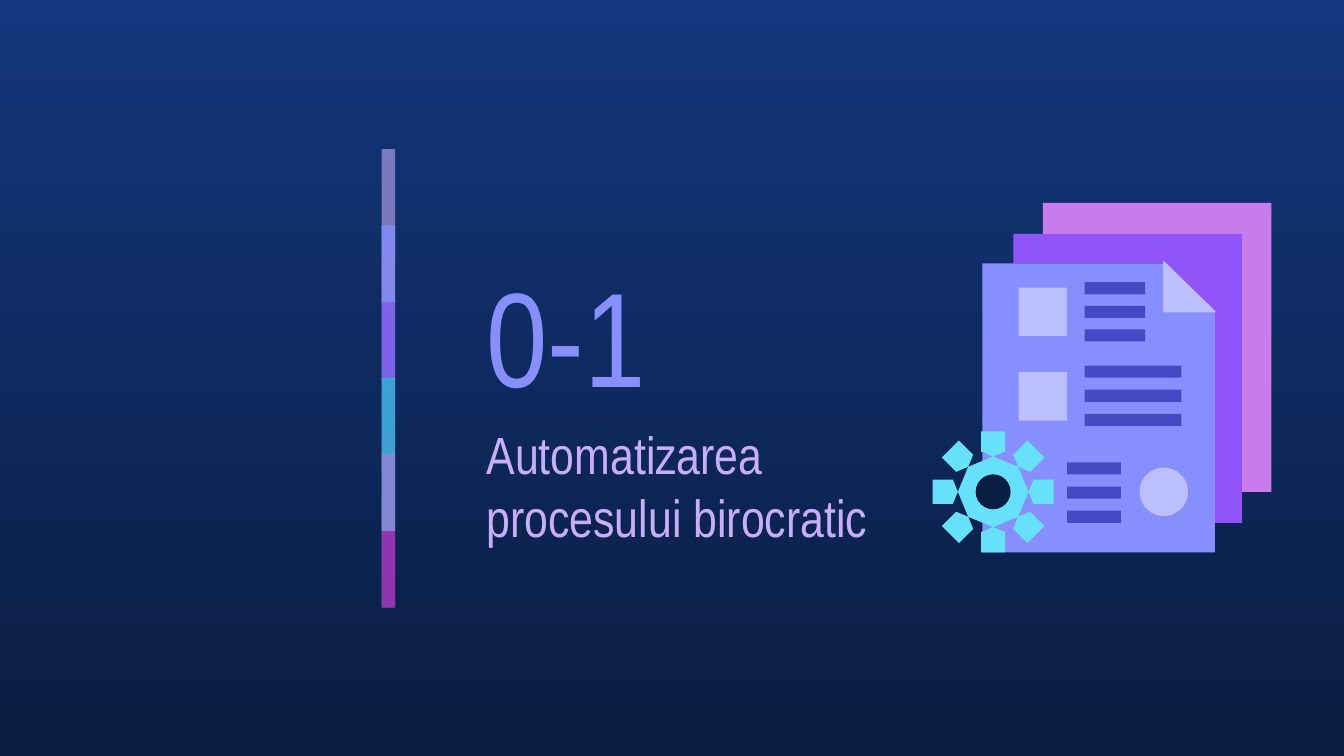
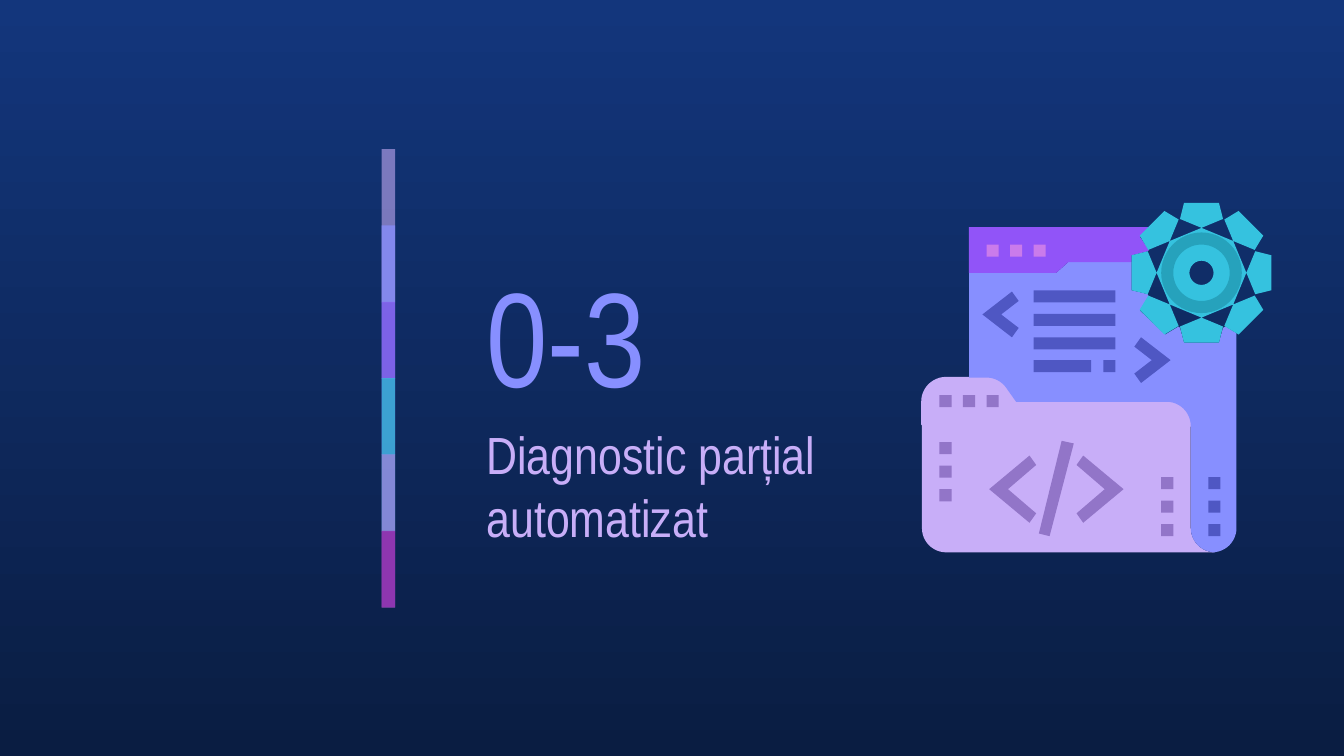
import math
from dataclasses import dataclass
from typing import Callable

from lxml import etree
from pptx import Presentation
from pptx import util as u
from pptx.dml.color import RGBColor
from pptx.enum import shapes, text
from pptx.oxml import ns

Point = tuple[float, float]
Outline = list[Point]


@dataclass(frozen=True)
class Theme:
    font: str = "Arial Narrow"
    number_size: int = 72
    heading_size: int = 28
    sky: str = "13367C"
    night: str = "0A1D42"
    periwinkle: str = "878FFF"
    lilac: str = "C8AEF8"
    violet: str = "9154F8"
    teal: str = "35C2DF"
    dark_teal: str = "26A2BC"
    cyan: str = "67E0F9"
    orchid: str = "CA7BEB"
    purple: str = "972CB4"
    pale: str = "BBBFFF"
    indigo: str = "424BC4"
    ink: str = "4F57C3"
    mauve: str = "9275C8"


@dataclass(frozen=True)
class Band:
    color: str
    opacity: int
    height: float = 1.14


@dataclass(frozen=True)
class Tiles:
    left: float
    top: float
    width: float
    height: float
    color: str
    columns: int = 1
    rows: int = 1
    span: float = 0.35


@dataclass(frozen=True)
class Section:
    number: str
    heading: str
    draw_art: Callable


THEME = Theme()
MARK = 0.09
STRIPE_TOP = 1.11
LAST_BAND_TOP = 3.95
BANDS = [
    Band(THEME.lilac, 58),
    Band(THEME.periwinkle, 73),
    Band(THEME.violet, 53),
    Band(THEME.teal, 75),
    Band(THEME.orchid, 56),
    Band(THEME.purple, 74, 0.57),
]


def paint(shape, color: str, outlined: bool = False) -> None:
    shape.shadow.inherit = False
    shape.fill.solid()
    shape.fill.fore_color.rgb = RGBColor.from_string(color)
    if outlined:
        shape.line.color.rgb = RGBColor.from_string(color)
        shape.line.width = u.Pt(0.75)
    else:
        shape.line.fill.background()


def add_preset(page, kind, left: float, top: float, width: float, height: float, color: str):
    shape = page.shapes.add_shape(
        kind, u.Inches(left), u.Inches(top), u.Inches(width), u.Inches(height)
    )
    paint(shape, color)
    return shape


def add_disc(page, center: Point, radius: float, color: str, hole: float = 0) -> None:
    kind = shapes.MSO_SHAPE.DONUT if hole else shapes.MSO_SHAPE.OVAL
    left, top = center[0] - radius, center[1] - radius
    disc = add_preset(page, kind, left, top, 2 * radius, 2 * radius, color)
    if hole:
        disc.adjustments[0] = (radius - hole) / (2 * radius)


def add_tiles(page, tiles: Tiles) -> None:
    for row in range(tiles.rows):
        for column in range(tiles.columns):
            left = tiles.left + column * tiles.span / max(tiles.columns - 1, 1)
            top = tiles.top + row * tiles.span / max(tiles.rows - 1, 1)
            add_preset(page, shapes.MSO_SHAPE.RECTANGLE, left, top,
                       tiles.width, tiles.height, tiles.color)


def add_outline(page, color: str, *outlines: Outline, outlined: bool = False) -> None:
    contours = [[(u.Inches(x), u.Inches(y)) for x, y in outline] for outline in outlines]
    builder = page.shapes.build_freeform(*contours[0][0], scale=1.0)
    for index, contour in enumerate(contours):
        if index:
            builder.move_to(*contour[0])
        builder.add_line_segments(contour[1:], close=True)
    paint(builder.convert_to_shape(), color, outlined)


def arc(center: Point, radius: float, start: float, end: float, steps: int = 12) -> Outline:
    angles = [math.radians(start + (end - start) * step / steps) for step in range(steps + 1)]
    return [(center[0] + radius * math.cos(a), center[1] + radius * math.sin(a)) for a in angles]


def gear(center: Point, tip: float, tip_half: float, root: float, root_half: float) -> Outline:
    tooth = [(-root_half, root), (-tip_half, tip), (tip_half, tip), (root_half, root)]
    outline = []
    for turn in range(8):
        angle = math.radians(-45 * turn)
        for side, out in tooth:
            outline.append((
                center[0] + out * math.sin(angle) + side * math.cos(angle),
                center[1] + out * math.cos(angle) - side * math.sin(angle),
            ))
    return outline


def chevron(tip: Point, reach: float, rise: float, direction: int) -> Outline:
    offsets = [(0, 0), (reach, -rise), (reach + 0.05, 0.07 - rise), (0.14, 0),
               (reach + 0.05, rise - 0.07), (reach, rise)]
    return [(tip[0] + direction * x, tip[1] + y) for x, y in offsets]


def set_text(box, words: str, *, size: int, color: str, left: float, top: float,
             width: float, height: float) -> None:
    box.left, box.top = u.Inches(left), u.Inches(top)
    box.width, box.height = u.Inches(width), u.Inches(height)
    frame = box.text_frame
    frame.text = words
    frame.word_wrap = True
    frame.auto_size = text.MSO_AUTO_SIZE.NONE
    frame.vertical_anchor = text.MSO_ANCHOR.MIDDLE
    frame.margin_left = frame.margin_right = u.Inches(0.1)
    frame.margin_top = frame.margin_bottom = u.Inches(0.1)
    para = frame.paragraphs[0]
    para.alignment = text.PP_ALIGN.LEFT
    para.space_before = u.Pt(0)
    span = para.runs[0]
    span.font.name = THEME.font
    span.font.size = u.Pt(size)
    span.font.color.rgb = RGBColor.from_string(color)


def set_background(deck) -> None:
    fill = deck.slide_master.background.fill
    fill.gradient()
    fill.gradient_angle = 270
    for stop, color in zip(fill.gradient_stops, (THEME.sky, THEME.night)):
        stop.color.rgb = RGBColor.from_string(color)


def draw_stripe(page) -> None:
    pitch = (LAST_BAND_TOP - STRIPE_TOP) / (len(BANDS) - 1)
    for index, band in enumerate(BANDS):
        shape = add_preset(page, shapes.MSO_SHAPE.RECTANGLE, 2.84, STRIPE_TOP + pitch * index,
                           0.1, band.height, band.color)
        solid = shape.element.spPr.find(ns.qn("a:solidFill"))
        alpha = etree.SubElement(solid[0], ns.qn("a:alpha"))
        alpha.set("val", str(band.opacity * 1000))


def draw_documents(page) -> None:
    add_outline(page, THEME.orchid, [(7.76, 1.51), (7.76, 1.74), (9.24, 1.74),
                                     (9.24, 3.66), (9.46, 3.66), (9.46, 1.51)])
    add_outline(page, THEME.violet, [(7.54, 1.74), (7.54, 1.96), (8.66, 1.96), (9.01, 2.32),
                                     (9.01, 3.89), (9.24, 3.89), (9.24, 1.74)])
    add_outline(page, THEME.periwinkle, [(7.31, 1.96), (7.31, 4.11), (9.04, 4.11),
                                         (9.04, 2.33), (8.68, 1.96)])
    hub = (7.39, 3.66)
    add_outline(page, THEME.cyan, gear(hub, 0.45, 0.09, 0.3, 0.09))
    add_disc(page, hub, 0.13, THEME.night)
    add_disc(page, (8.66, 3.66), 0.18, THEME.pale)
    for tiles in (
        Tiles(7.58, 2.14, 0.36, 0.36, THEME.pale, rows=2, span=0.63),
        Tiles(8.07, 2.1, 0.45, MARK, THEME.indigo, rows=3),
        Tiles(8.07, 2.72, 0.72, MARK, THEME.indigo, rows=3, span=0.36),
        Tiles(7.94, 3.44, 0.4, MARK, THEME.indigo, rows=3, span=0.36),
    ):
        add_tiles(page, tiles)
    add_outline(page, THEME.pale, [(8.66, 1.95), (8.66, 2.32), (9.04, 2.32)], outlined=True)


def draw_code_folder(page) -> None:
    bend = 0.18
    tab_edge = [*arc((7.34, 2.99), bend, 270, 322), (7.56, 2.99),
                *arc((8.68, 3.17), bend, 270, 360)]
    fold = arc((9.04, 3.93), bend, 180, 90)
    add_outline(page, THEME.lilac, [(6.86, 3.16), *arc((7.04, 3.93), bend, 180, 90),
                                    *reversed(fold), (8.86, 3.16)])
    add_outline(page, THEME.lilac, [(6.86, 3.16), *arc((7.04, 2.99), bend, 180, 270),
                                    *tab_edge], outlined=True)
    add_outline(page, THEME.periwinkle, [
        (7.95, 1.95), (7.86, 2.03), (7.21, 2.03), (7.21, 2.81), *tab_edge, *fold,
        *arc((9.02, 3.93), bend, 90, 0), (9.2, 2.48), (9.12, 2.43), (9.1, 2.44),
        (9.07, 2.55), (8.81, 2.55), (8.78, 2.44), (8.77, 2.43), (8.67, 2.49),
        (8.48, 2.31), (8.55, 2.21), (8.54, 2.19), (8.42, 2.16), (8.42, 1.95)])
    add_outline(page, THEME.violet, [
        (7.21, 1.69), (7.21, 2.03), (7.86, 2.03), (7.95, 1.95), (8.42, 1.95), (8.42, 1.9),
        (8.54, 1.87), (8.55, 1.86), (8.48, 1.76), (8.55, 1.69)])
    hub, bore = (8.94, 2.03), 0.26
    add_disc(page, hub, bore, THEME.teal, hole=0.09)
    add_outline(page, THEME.teal, gear(hub, 0.52, 0.13, 0.4, 0.16),
                arc(hub, bore, 360, 0, 48))
    add_disc(page, hub, 0.3, THEME.dark_teal, hole=0.21)
    for tiles in (
        Tiles(7.34, 1.82, MARK, MARK, THEME.orchid, columns=3),
        Tiles(6.99, 2.94, MARK, MARK, THEME.mauve, columns=3),
        Tiles(7.69, 2.16, 0.61, MARK, THEME.ink, rows=3),
        Tiles(7.69, 2.68, 0.43, MARK, THEME.ink),
        Tiles(8.21, 2.68, MARK, MARK, THEME.ink),
        Tiles(6.99, 3.29, MARK, MARK, THEME.mauve, rows=3),
        Tiles(8.64, 3.55, MARK, MARK, THEME.mauve, rows=3),
        Tiles(8.99, 3.55, MARK, MARK, THEME.ink, rows=3),
    ):
        add_tiles(page, tiles)
    add_outline(page, THEME.ink, chevron((7.31, 2.34), 0.22, 0.17, 1))
    add_outline(page, THEME.ink, chevron((8.71, 2.68), 0.22, 0.17, -1))
    add_outline(page, THEME.mauve, chevron((7.36, 3.64), 0.3, 0.25, 1))
    add_outline(page, THEME.mauve, chevron((8.36, 3.64), 0.3, 0.25, -1))
    add_outline(page, THEME.mauve, [(7.9, 3.28), (7.73, 3.97), (7.81, 3.99), (7.99, 3.3)])


def add_section(deck, section: Section) -> None:
    page = deck.slides.add_slide(deck.slide_layouts[0])
    draw_stripe(page)
    set_text(page.placeholders[1], section.number, size=THEME.number_size,
             color=THEME.periwinkle, left=3.52, top=1.81, width=1.75, height=1.35)
    set_text(page.shapes.title, section.heading, size=THEME.heading_size,
             color=THEME.lilac, left=3.52, top=3.15, width=3.11, height=0.92)
    section.draw_art(page)


def main() -> None:
    deck = Presentation()
    deck.slide_width = u.Inches(10)
    deck.slide_height = deck.slide_width * 9 // 16
    set_background(deck)
    for section in (
        Section("0-1", "Automatizarea procesului birocratic", draw_documents),
        Section("0-3", "Diagnostic parțial automatizat", draw_code_folder),
    ):
        add_section(deck, section)
    deck.save("out.pptx")


if __name__ == "__main__":
    main()
